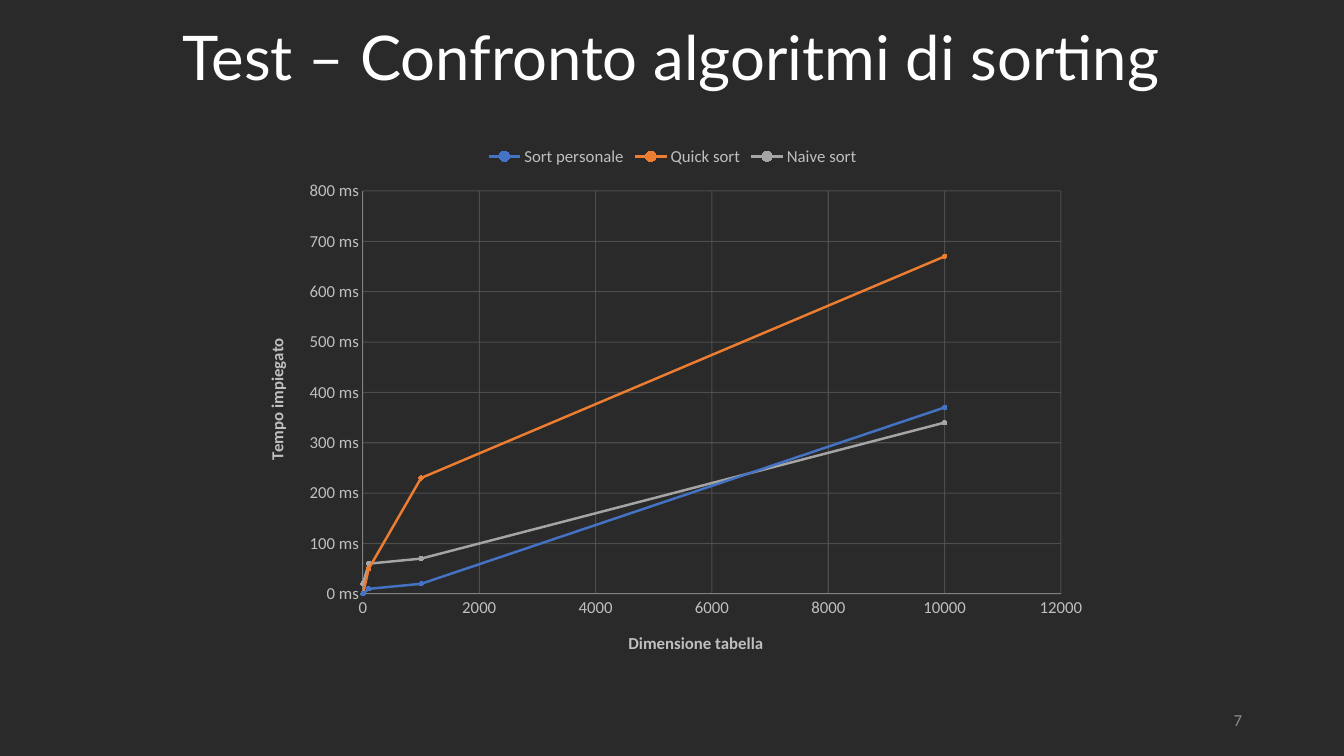
from dataclasses import dataclass

from pptx import Presentation
from pptx.chart.data import XyChartData
from pptx.dml.color import RGBColor
from pptx.enum.chart import XL_CHART_TYPE, XL_LEGEND_POSITION, XL_MARKER_STYLE, XL_TICK_MARK
from pptx.enum.text import MSO_ANCHOR, PP_ALIGN
from pptx.oxml import parse_xml
from pptx.oxml.ns import nsdecls
from pptx.util import Emu, Pt

SCATTER = XL_CHART_TYPE.XY_SCATTER_LINES
LEGEND_TOP = XL_LEGEND_POSITION.TOP
CIRCLE = XL_MARKER_STYLE.CIRCLE
NO_TICK = XL_TICK_MARK.NONE
MIDDLE = MSO_ANCHOR.MIDDLE
CENTER, RIGHT = PP_ALIGN.CENTER, PP_ALIGN.RIGHT
PIXEL = 914400 / 100.8


@dataclass(frozen=True)
class Theme:
    """Colours, fonts and type sizes of the slide."""
    background: str = "2A2A2A"
    title: str = "FFFFFF"
    number: str = "8C8C8C"
    label: str = "BFBFBF"
    axis: str = "808080"
    grid: str = "595959"
    title_font: str = "Lato"
    body_font: str = "Calibri"
    title_size: int = 44
    body_size: int = 12


THEME = Theme()


def style_font(font, name, size, colour):
    """Set the face, size and colour of a font."""
    font.name, font.size = name, Pt(size)
    font.color.rgb = RGBColor.from_string(colour)


def add_text(page, frame, text, align, name, size, colour):
    """Add one vertically centred line of text in a pixel frame."""
    box = page.shapes.add_textbox(*(Emu(round(n * PIXEL)) for n in frame))
    box.text_frame.word_wrap = True
    box.text_frame.vertical_anchor = MIDDLE
    paragraph = box.text_frame.paragraphs[0]
    paragraph.text, paragraph.alignment, paragraph.line_spacing = text, align, 0.9
    style_font(paragraph.font, name, size, colour)


deck = Presentation()
deck.slide_width, deck.slide_height = Emu(round(1344 * PIXEL)), Emu(round(756 * PIXEL))
page = deck.slides.add_slide(deck.slide_layouts[6])
page.background.fill.solid()
page.background.fill.fore_color.rgb = RGBColor.from_string(THEME.background)

add_text(page, (18, 10, 1307, 101), "Test – Confronto algoritmi di sorting", CENTER,
         THEME.title_font, THEME.title_size, THEME.title)
add_text(page, (950, 701, 302, 40), "7", RIGHT,
         THEME.body_font, THEME.body_size, THEME.number)

# Times in milliseconds for each table size
table_sizes = (0, 100, 1000, 10000)
algorithms = (
    ("Sort personale", (0, 10, 20, 370), "4472C4", "8FAADC"),
    ("Quick sort", (0, 50, 230, 670), "ED7D31", "F4B183"),
    ("Naive sort", (20, 60, 70, 340), "A5A5A5", "C9C9C9"),
)
data = XyChartData()
for name, times, _, _ in algorithms:
    series = data.add_series(name)
    for table_size, time in zip(table_sizes, times):
        series.add_data_point(table_size, time)

chart_frame = (245, 135, 855, 540)
chart = page.shapes.add_chart(
    SCATTER, *(Emu(round(n * PIXEL)) for n in chart_frame), data).chart
chart.has_title = False
style_font(chart.font, THEME.body_font, THEME.body_size, THEME.label)
chart.has_legend = True
chart.legend.position = LEGEND_TOP
chart.legend.include_in_layout = False
style_font(chart.legend.font, THEME.body_font, THEME.body_size, THEME.label)

for series, (_, _, colour, marker_edge) in zip(chart.plots[0].series, algorithms):
    series.smooth = False
    series.format.line.width = Pt(1.75)
    series.format.line.color.rgb = RGBColor.from_string(colour)
    series.marker.style, series.marker.size = CIRCLE, 3
    series.marker.format.fill.solid()
    series.marker.format.fill.fore_color.rgb = RGBColor.from_string(colour)
    series.marker.format.line.color.rgb = RGBColor.from_string(marker_edge)
    series.marker.format.line.fill.background()

axes = (
    (chart.category_axis, "Dimensione tabella", 12000, 2000, "General", 0),
    (chart.value_axis, "Tempo impiegato", 800, 100, '0" ms"', -5400000),
)
for axis, title, maximum, step, number_format, rotation in axes:
    axis.minimum_scale, axis.maximum_scale, axis.major_unit = 0, maximum, step
    axis.major_tick_mark = axis.minor_tick_mark = NO_TICK
    axis.tick_labels.number_format = number_format
    axis.tick_labels.number_format_is_linked = False
    style_font(axis.tick_labels.font, THEME.body_font, THEME.body_size, THEME.label)
    axis.has_major_gridlines = True
    for line, colour in ((axis.format.line, THEME.axis),
                         (axis.major_gridlines.format.line, THEME.grid)):
        line.width = Pt(0.75)
        line.color.rgb = RGBColor.from_string(colour)
    for grid_colour in axis._element.xpath("c:majorGridlines//a:srgbClr"):
        grid_colour.append(parse_xml(f'<a:alpha {nsdecls("a")} val="75000"/>'))
    paragraph = axis.axis_title.text_frame.paragraphs[0]
    paragraph.text = title
    style_font(paragraph.font, THEME.body_font, THEME.body_size, THEME.label)
    paragraph.font.bold = True
    for body in axis._element.xpath("c:title//a:bodyPr"):
        body.set("rot", str(rotation))
        body.set("vert", "horz")

# Inner plot area as shares of the chart frame
left, top, width, height = chart_frame
shares = {"x": (363 - left) / width, "y": (191 - top) / height,
          "w": 698 / width, "h": 403 / height}
places = "".join(f'<c:{key} val="{share:.4f}"/>' for key, share in shares.items())
plot_area = chart._chartSpace.chart.plotArea
for layout in plot_area.xpath("c:layout"):
    plot_area.remove(layout)
plot_area.insert(0, parse_xml(
    f'<c:layout {nsdecls("c")}><c:manualLayout><c:layoutTarget val="inner"/>'
    f'<c:xMode val="edge"/><c:yMode val="edge"/>{places}</c:manualLayout></c:layout>'))

deck.save("out.pptx")
